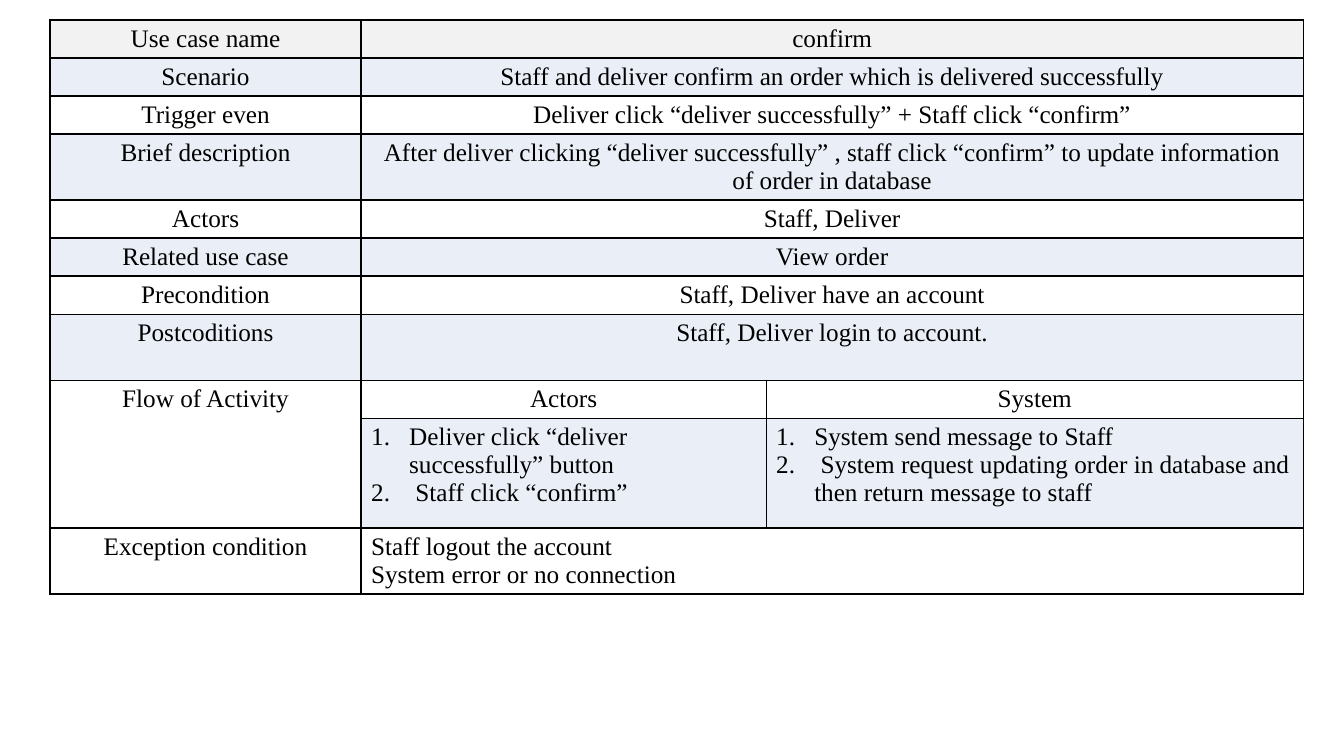
from dataclasses import dataclass

from pptx import Presentation
from pptx import util as u
from pptx.dml.color import RGBColor
from pptx.enum import text
from pptx.oxml import parse_xml
from pptx.oxml.ns import nsdecls


@dataclass(frozen=True)
class Theme:
    font: str = "Times New Roman"
    size: int = 18
    ink: str = "000000"
    header: str = "F2F2F2"
    band: str = "EAEFF7"
    plain: str = "FFFFFF"
    border: int = 1


def px(length):
    return u.Emu(round(length * 914400 / 100.8))


class SlideBuilder:
    def __init__(self, slide, theme):
        self.slide = slide
        self.theme = theme

    def table(self, left, top, widths, heights):
        frame = self.slide.shapes.add_table(
            len(heights), len(widths), px(left), px(top), px(sum(widths)), px(sum(heights)))
        table = frame.table
        table.first_row = False
        table.horz_banding = False
        for column, width in zip(table.columns, widths):
            column.width = px(width)
        for index, (row, height) in enumerate(zip(table.rows, heights)):
            row.height = px(height)
            color = self.row_color(index)
            for cell in row.cells:
                self.style_cell(cell, color)
        return table

    def row_color(self, index):
        if index == 0:
            return self.theme.header
        return self.theme.band if index % 2 else self.theme.plain

    def style_cell(self, cell, color):
        cell.fill.solid()
        cell.fill.fore_color.rgb = RGBColor.from_string(color)
        properties = cell._tc.get_or_add_tcPr()
        for position, side in enumerate("LRTB"):
            properties.insert(position, parse_xml(
                f'<a:ln{side} {nsdecls("a")} w="{u.Pt(self.theme.border)}"><a:solidFill>'
                f'<a:srgbClr val="{self.theme.ink}"/></a:solidFill></a:ln{side}>'))

    def cell_text(self, cell, words, align=text.PP_ALIGN.CENTER, numbered=False):
        cell.text_frame.text = words
        for paragraph in cell.text_frame.paragraphs:
            paragraph.alignment = align
            if numbered:
                self.number(paragraph)
            for run in paragraph.runs:
                run.font.name = self.theme.font
                run.font.size = u.Pt(self.theme.size)
                run.font.color.rgb = RGBColor.from_string(self.theme.ink)

    def number(self, paragraph):
        properties = paragraph._p.get_or_add_pPr()
        properties.set("marL", str(px(38)))
        properties.set("indent", str(-px(38)))
        properties.append(parse_xml(f'<a:buAutoNum {nsdecls("a")} type="arabicPeriod"/>'))


FIELDS = [
    ("Use case name", "confirm"),
    ("Scenario", "Staff and deliver confirm an order which is delivered successfully"),
    ("Trigger even", "Deliver click “deliver successfully” + Staff click “confirm”"),
    ("Brief description", "After deliver clicking “deliver successfully” , staff click “confirm” "
                          "to update information of order in database"),
    ("Actors", "Staff, Deliver"),
    ("Related use case", "View order"),
    ("Precondition", "Staff, Deliver have an account"),
    ("Postcoditions", "Staff, Deliver login to account."),
]
FLOW = [
    ("Actors", "Deliver click “deliver successfully” button\n Staff click “confirm”"),
    ("System", "System send message to Staff\n System request updating order in database "
               "and then return message to staff"),
]
EXCEPTIONS = "Staff logout the account\nSystem error or no connection"
LINE, DOUBLE, STEPS = 38, 66, 110


def main():
    presentation = Presentation()
    presentation.slide_width = u.Inches(13.33)
    presentation.slide_height = u.Inches(7.5)
    slide = presentation.slides.add_slide(presentation.slide_layouts[6])
    builder = SlideBuilder(slide, Theme())

    heights = [LINE] * 3 + [DOUBLE] + [LINE] * 3 + [DOUBLE, LINE, STEPS, DOUBLE]
    table = builder.table(50, 20, [311, 405, 537], heights)
    flow_row = len(FIELDS)
    exception_row = flow_row + 2

    for row in (*range(flow_row), exception_row):
        table.cell(row, 1).merge(table.cell(row, 2))
    table.cell(flow_row, 0).merge(table.cell(flow_row + 1, 0))

    for row, (label, value) in enumerate(FIELDS):
        builder.cell_text(table.cell(row, 0), label)
        builder.cell_text(table.cell(row, 1), value)
    builder.cell_text(table.cell(flow_row, 0), "Flow of Activity")
    for column, (party, steps) in enumerate(FLOW, 1):
        builder.cell_text(table.cell(flow_row, column), party)
        builder.cell_text(table.cell(flow_row + 1, column), steps, text.PP_ALIGN.LEFT, numbered=True)
    builder.cell_text(table.cell(exception_row, 0), "Exception condition")
    builder.cell_text(table.cell(exception_row, 1), EXCEPTIONS, text.PP_ALIGN.LEFT)

    presentation.save("out.pptx")


if __name__ == "__main__":
    main()
